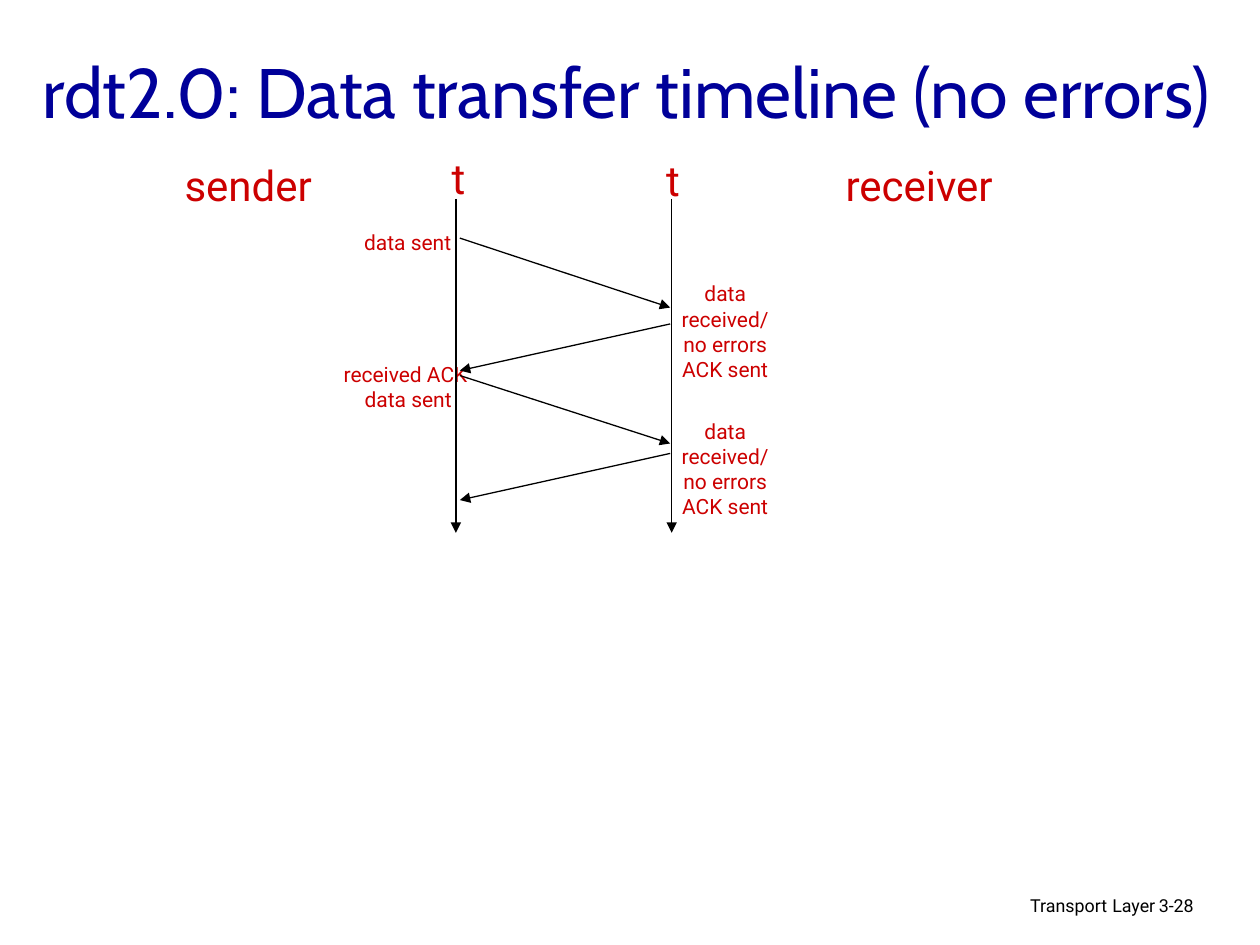
"""Build a slide with the rdt2.0 timeline of an error-free data transfer."""
from lxml.etree import SubElement
from pptx import Presentation
from pptx.dml.color import RGBColor as Color
from pptx.enum.shapes import MSO_CONNECTOR as Link
from pptx.enum.text import MSO_ANCHOR as Anchor, MSO_AUTO_SIZE as Fit, PP_ALIGN as Align
from pptx.oxml.ns import qn
from pptx.util import Cm, Pt

BLACK = Color(0x00, 0x00, 0x00)
NAVY = Color(0x00, 0x00, 0x99)
RED = Color(0xCC, 0x00, 0x00)

TITLE = {"size": Pt(40), "name": "Cabin"}
HEAD = {"size": Pt(24), "name": "Roboto"}
NOTE = {"size": Pt(12), "name": "Roboto"}
FOOT = {"size": Pt(10.2), "name": "Roboto"}

LEFT, RIGHT = 9.19, 13.54
SEND, RECV = 9.27, 13.51
TOP, END = 4.01, 10.74


def add_text(slide, box, lines, font, color, frame=None, para=None):
    """Add a text box; each line is a list of runs."""
    shape = slide.shapes.add_textbox(*map(Cm, box))
    body = shape.text_frame
    for key, val in {"word_wrap": True, **(frame or {})}.items():
        setattr(body, key, val)
    for num, line in enumerate(lines):
        par = body.add_paragraph() if num else body.paragraphs[0]
        for key, val in (para or {}).items():
            setattr(par, key, val)
        for text in line:
            run = par.add_run()
            run.text = text
            run.font.color.rgb = color
            for key, val in font.items():
                setattr(run.font, key, val)
    return body


def add_label(slide, box, lines, font, wrap=False):
    """Add a centred red label that grows with its text."""
    frame = {"word_wrap": wrap, "auto_size": Fit.SHAPE_TO_FIT_TEXT}
    add_text(slide, box, [[line] for line in lines], font, RED,
             frame, {"alignment": Align.CENTER})


def add_arrow(slide, *ends):
    """Add a thin black arrow from one point to another."""
    line = slide.shapes.add_connector(Link.STRAIGHT, *map(Cm, ends))
    line.line.color.rgb = BLACK
    line.line.width = Pt(0.75)
    SubElement(line.line._get_or_add_ln(), qn("a:tailEnd"), type="triangle")
    SubElement(line._element.spPr, qn("a:effectLst"))


def add_foot(slide):
    """Add the chapter name and the page number."""
    body = add_text(slide, (15.49, 17.91, 8.05, 0.79), [["Transport", " ", "Layer"]],
                    FOOT, BLACK, para={"alignment": Align.RIGHT, "line_spacing": 0.9})
    body.paragraphs[0].runs[1].font.size = Pt(11.9)
    add_text(slide, (23.11, 17.96, 1.88, 0.76), [["3-28"]],
             FOOT, BLACK, para={"line_spacing": 0.9})


def main():
    """Build and save the slide."""
    deck = Presentation()
    deck.slide_width, deck.slide_height = Cm(25.4), Cm(19.05)
    slide = deck.slides.add_slide(deck.slide_layouts[6])

    add_foot(slide)
    add_text(slide, (0.61, 0.38, 24.41, 2.87),
             [["rdt2.0: Data transfer timeline (no errors)"]],
             TITLE, NAVY, {"vertical_anchor": Anchor.MIDDLE})

    for text, left, top, width in (("sender", 3.38, 3.1, 3.25),
                                   ("receiver", 16.69, 3.1, 3.68),
                                   ("t", 8.84, 2.95, 0.81),
                                   ("t", 13.16, 3, 0.81)):
        add_label(slide, (left, top, width, 1.27), [text], HEAD)

    add_label(slide, (7.04, 4.5, 2.36, 0.76), ["data sent"], NOTE)
    add_label(slide, (6.63, 7.16, 3.2, 1.27), ["received ACK ", "data sent"], NOTE)
    for top in (5.54, 8.31):
        add_label(slide, (13.32, top, 2.6, 2.29),
                  ["data received/", "no errors", "ACK sent"], NOTE, True)

    for start, stop in ((4.8, 6.2), (7.57, 8.94)):
        add_arrow(slide, SEND, start, RECV, stop)
    for start, stop in ((6.53, 7.47), (9.14, 10.08)):
        add_arrow(slide, RECV, start, SEND, stop)
    for left in (LEFT, RIGHT):
        add_arrow(slide, left, TOP, left, END)

    deck.save("out.pptx")


if __name__ == "__main__":
    main()
